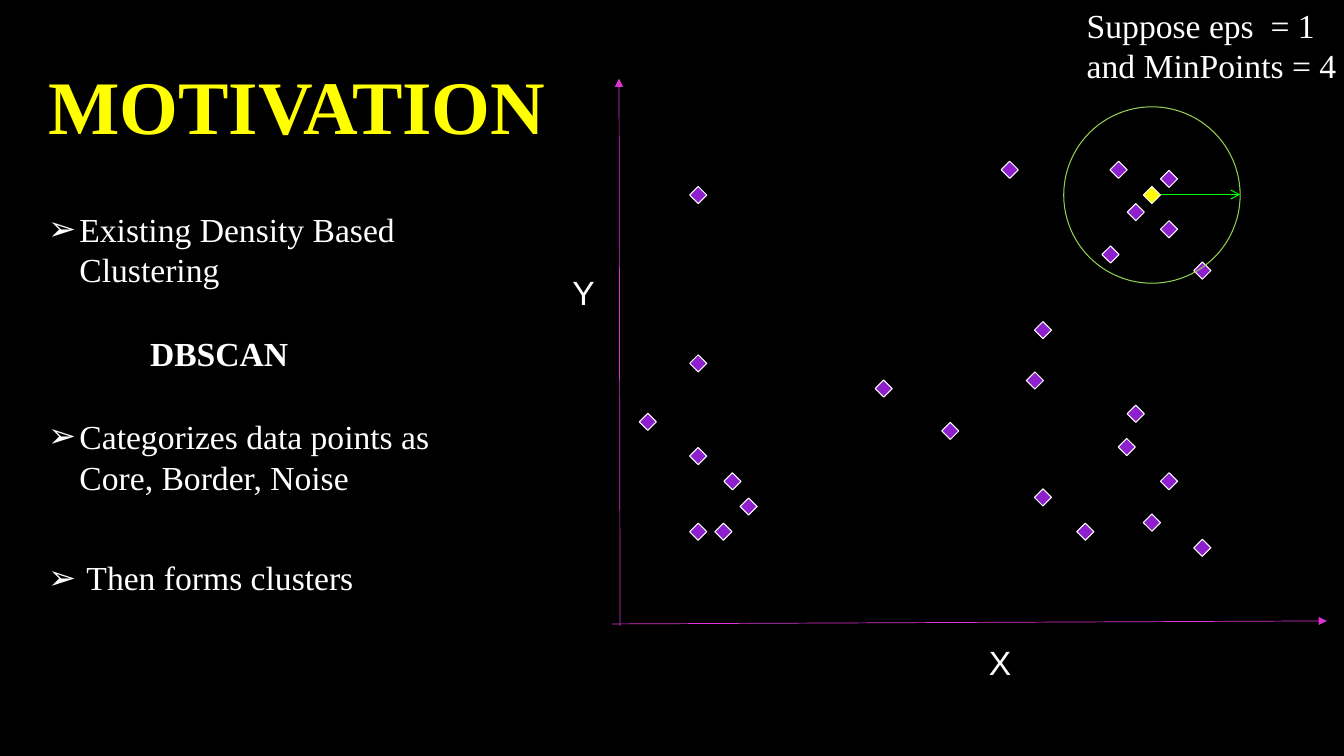
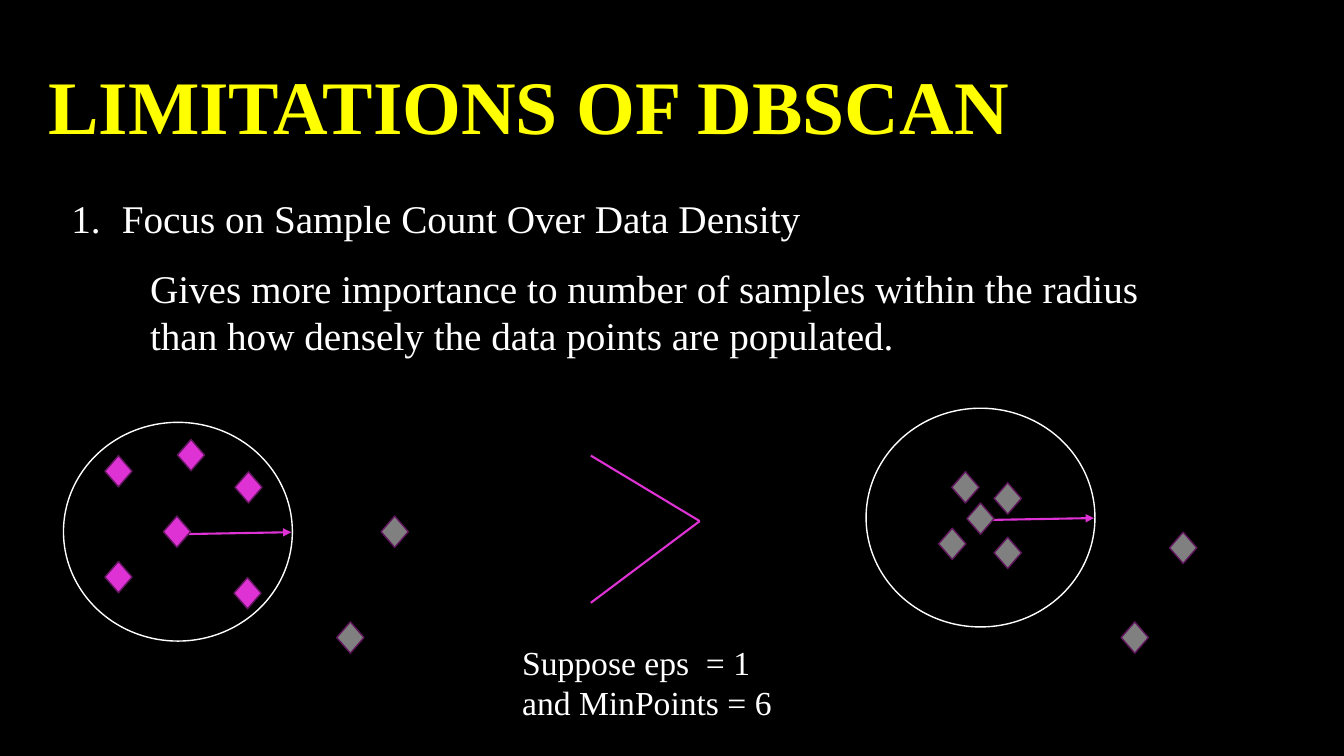
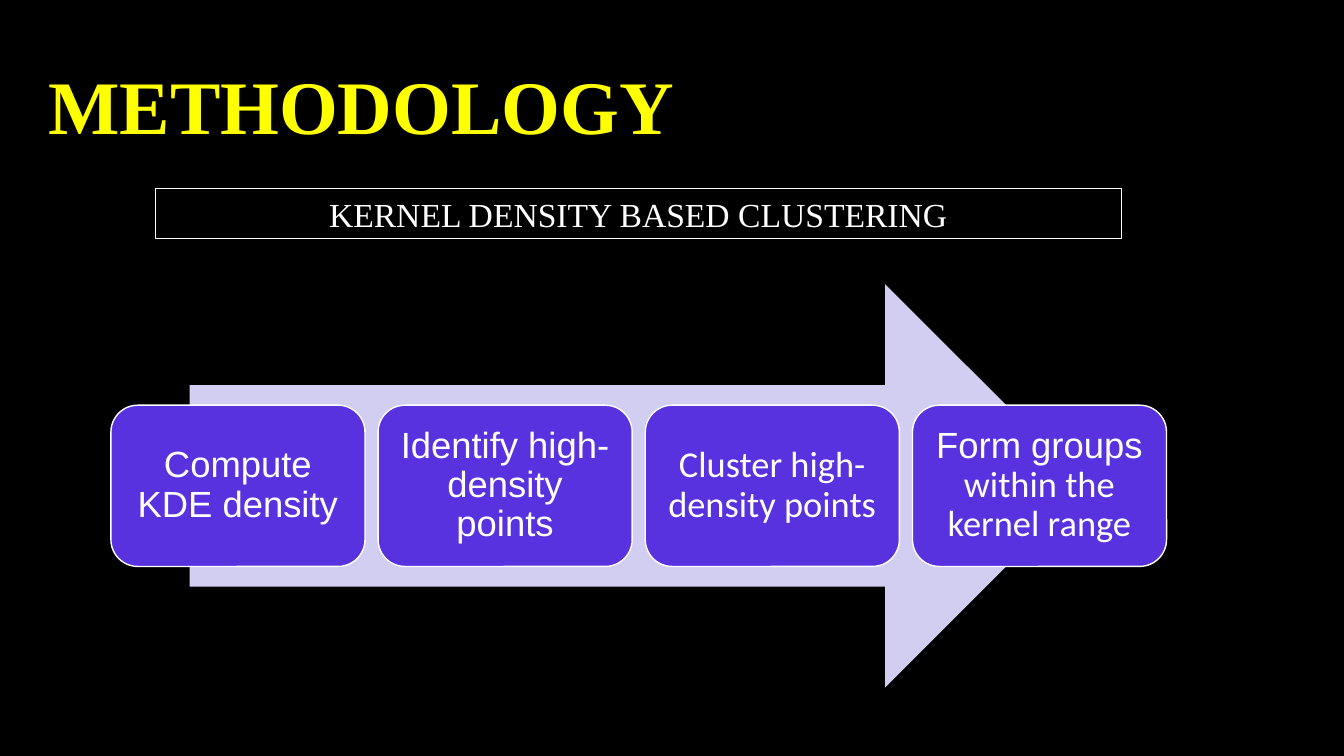
from lxml.etree import SubElement
from pptx import Presentation
from pptx.dml.color import RGBColor
from pptx.enum.shapes import MSO_CONNECTOR, MSO_SHAPE as Preset
from pptx.enum.text import MSO_ANCHOR as Anchor, MSO_AUTO_SIZE, PP_ALIGN as Align
from pptx.oxml.ns import qn
from pptx.util import Inches, Pt

COLORS = {
    "black": "000000", "white": "FFFFFF", "yellow": "FFFF00", "purple": "8D20CC",
    "lime": "92D050", "green": "00FF00", "magenta": "DE32D5", "plum": "61165D",
    "gray": "808080", "lavender": "D1CEF2", "indigo": "5832DE",
}
SERIF, SANS, HUMANIST = "Times New Roman", "Arial", "Calibri"


class Deck:
    """Holds the shared style and the slide being built."""

    def __init__(self):
        self.prs = Presentation()
        self.prs.slide_width, self.prs.slide_height = Inches(13.33), Inches(7.5)
        backdrop = self.prs.slide_master.background.fill
        backdrop.solid()
        backdrop.fore_color.rgb = self.color("black")
        self.slide = None

    def color(self, name):
        return RGBColor.from_string(COLORS[name])

    def run(self, paragraph, text, size=24, font=SERIF, color="white", bold=False):
        run = paragraph.add_run()
        run.text = text
        run.font.size, run.font.name, run.font.bold = Pt(size), font, bold
        run.font.color.rgb = self.color(color)

    def new_slide(self, heading):
        self.slide = self.prs.slides.add_slide(self.prs.slide_layouts[5])
        title = self.slide.shapes.title
        title.left, title.top = Inches(0.38), Inches(0.18)
        title.width, title.height = Inches(11.63), Inches(1.35)
        frame = title.text_frame
        frame.auto_size, frame.vertical_anchor = MSO_AUTO_SIZE.NONE, Anchor.BOTTOM
        frame.paragraphs[0].alignment = Align.LEFT
        self.run(frame.paragraphs[0], heading, 54, color="yellow", bold=True)

    def text(self, left, top, width, height, lines, **style):
        box = self.slide.shapes.add_textbox(
            Inches(left), Inches(top), Inches(width), Inches(height))
        frame = box.text_frame
        frame.word_wrap, frame.margin_right = True, 0
        for index, line in enumerate(lines):
            paragraph = frame.add_paragraph() if index else frame.paragraphs[0]
            for part, words in enumerate(line.split("\n")):
                if part:
                    paragraph.add_line_break()
                self.run(paragraph, words, **style)
        return frame.paragraphs

    def indent(self, paragraph, left, hanging=0, bullet=None):
        props = paragraph._p.get_or_add_pPr()
        props.set("marL", str(Inches(left)))
        props.set("indent", str(-Inches(hanging)))
        if bullet == "1.":
            SubElement(props, qn("a:buFont"), typeface=SERIF)
            SubElement(props, qn("a:buAutoNum"), type="arabicPeriod")
        elif bullet:
            SubElement(props, qn("a:buFont"), typeface=SANS)
            SubElement(props, qn("a:buChar"), char=bullet)

    def bullet(self, left, top, width, height, words, hanging=0.31):
        paragraph = self.text(left, top, width, height, [words])[0]
        self.indent(paragraph, hanging, hanging, "➢")

    def shape(self, preset, left, top, width, height, fill=None, line=None, weight=1):
        shape = self.slide.shapes.add_shape(
            preset, Inches(left), Inches(top), Inches(width), Inches(height))
        shape.shadow.inherit = False
        if fill:
            shape.fill.solid()
            shape.fill.fore_color.rgb = self.color(fill)
        else:
            shape.fill.background()
        if line:
            shape.line.color.rgb, shape.line.width = self.color(line), Pt(weight)
        else:
            shape.line.fill.background()
        return shape

    def label(self, shape, runs, size=24, inset=0.1, spacing=1.0):
        frame = shape.text_frame
        frame.word_wrap, frame.vertical_anchor = True, Anchor.MIDDLE
        frame.margin_left = frame.margin_right = Inches(inset)
        paragraph = frame.paragraphs[0]
        paragraph.alignment, paragraph.line_spacing = Align.CENTER, spacing
        for words, font in runs:
            self.run(paragraph, words, size, font)

    def line(self, x1, y1, x2, y2, color="magenta", weight=1.5, head=None):
        connector = self.slide.shapes.add_connector(
            MSO_CONNECTOR.STRAIGHT, Inches(x1), Inches(y1), Inches(x2), Inches(y2))
        connector.line.color.rgb, connector.line.width = self.color(color), Pt(weight)
        props = connector._element.spPr
        if head:
            SubElement(props.find(qn("a:ln")), qn("a:tailEnd"), type=head)
        SubElement(props, qn("a:effectLst"))

    def point(self, left, top, fill="purple"):
        self.shape(Preset.DIAMOND, left, top, 0.17, 0.17, fill, "white", 0.75)

    def samples(self, places, fill):
        for left, top in places:
            self.shape(Preset.FLOWCHART_DECISION, left, top, 0.27, 0.31, fill, "plum")

    def neighborhood(self, left, top, members, fill):
        self.shape(Preset.OVAL, left, top, 2.27, 2.17, "black", "white")
        self.line(left + 1.13, top + 1.11, left + 2.26, top + 1.09, head="triangle")
        self.samples(members, fill)

    def parameters(self, left, top, min_points):
        self.text(left, top, 2.65, 0.91,
                  ["Suppose eps  = 1", f"and MinPoints = {min_points}"])


def motivation(deck):
    deck.new_slide("MOTIVATION")
    points = [
        (7.18, 4.69), (7.34, 4.94), (7.09, 5.19), (6.84, 4.44), (6.84, 1.85),
        (6.84, 3.52), (6.84, 5.19), (6.34, 4.1), (8.68, 3.77), (11.01, 1.6),
        (11.51, 1.69), (11.18, 2.02), (11.51, 2.19), (11.84, 2.6), (9.93, 1.6),
        (10.26, 3.19), (10.26, 4.85), (10.68, 5.19), (11.09, 4.35), (10.18, 3.69),
        (9.34, 4.19), (11.51, 4.69), (11.34, 5.1), (11.18, 4.02), (11.84, 5.35),
        (10.93, 2.44),
    ]
    for left, top in points:
        deck.point(left, top)
    deck.shape(Preset.OVAL, 10.55, 1.06, 1.75, 1.75, line="lime", weight=0.75)
    deck.line(11.47, 1.93, 12.3, 1.93, "green", 0.75, "arrow")
    deck.point(11.34, 1.85, "yellow")
    deck.parameters(10.68, 0, 4)
    deck.line(6.07, 6.19, 13.16, 6.16, weight=0.5, head="triangle")
    deck.line(6.15, 6.21, 6.14, 0.78, weight=0.5, head="triangle")
    deck.text(5.58, 2.65, 0.44, 0.5, ["Y"], font=SANS)
    deck.text(9.71, 6.32, 0.44, 0.5, ["X"], font=SANS)
    deck.bullet(0.38, 2.02, 4.26, 0.91, "Existing Density Based Clustering")
    deck.text(1.39, 3.25, 3, 0.5, ["DBSCAN"], bold=True)
    deck.bullet(0.38, 4.08, 4.55, 0.91, "Categorizes data points as\nCore, Border, Noise")
    deck.bullet(0.38, 5.48, 4.03, 0.5, "Then forms clusters", 0.38)


def limitations(deck):
    deck.new_slide("LIMITATIONS OF DBSCAN")
    limitation, reason = deck.text(0.61, 1.88, 11, 1.8, [
        "Focus on Sample Count Over Data Density",
        "Gives more importance to number of samples within the radius "
        "than how densely the data points are populated.",
    ], size=28)
    deck.indent(limitation, 0.5, 0.5, "1.")
    deck.indent(reason, 0.78)
    limitation.space_after, reason.space_before = Pt(6), Pt(10)
    sparse = [(2.32, 5.73), (2.33, 4.68), (1.04, 5.57), (1.62, 5.12),
              (1.04, 4.52), (1.76, 4.36)]
    dense = [(9.59, 4.99), (9.86, 4.79), (9.31, 5.24), (9.86, 5.33), (9.44, 4.68)]
    outside = [(3.34, 6.17), (3.78, 5.12), (11.6, 5.28), (11.12, 6.17)]
    deck.neighborhood(0.63, 4.19, sparse, "magenta")
    deck.neighborhood(8.59, 4.05, dense, "gray")
    deck.samples(outside, "gray")
    for top in (4.52, 5.98):
        deck.line(5.86, top, 6.94, 5.17)
    deck.parameters(5.08, 6.32, 6)


def methodology(deck):
    deck.new_slide("METHODOLOGY")
    banner = deck.shape(Preset.RECTANGLE, 1.54, 1.87, 9.58, 0.5, line="white", weight=0.75)
    deck.label(banner, [("KERNEL DENSITY BASED CLUSTERING", SERIF)])
    deck.shape(Preset.RIGHT_ARROW, 1.88, 2.82, 8.9, 4, "lavender")
    steps = [
        [("Compute KDE density", SANS)],
        [("Identify high-density points", SANS)],
        [("Cluster high-density points", HUMANIST)],
        [("Form groups ", SANS), ("within the kernel range", HUMANIST)],
    ]
    for index, runs in enumerate(steps):
        step = deck.shape(Preset.ROUNDED_RECTANGLE, 1.1 + index * 2.65, 4.02, 2.52, 1.6,
                          "indigo", "white")
        deck.label(step, runs, 26, 0.11, 0.9)


def main():
    deck = Deck()
    motivation(deck)
    limitations(deck)
    methodology(deck)
    deck.prs.save("out.pptx")


if __name__ == "__main__":
    main()
